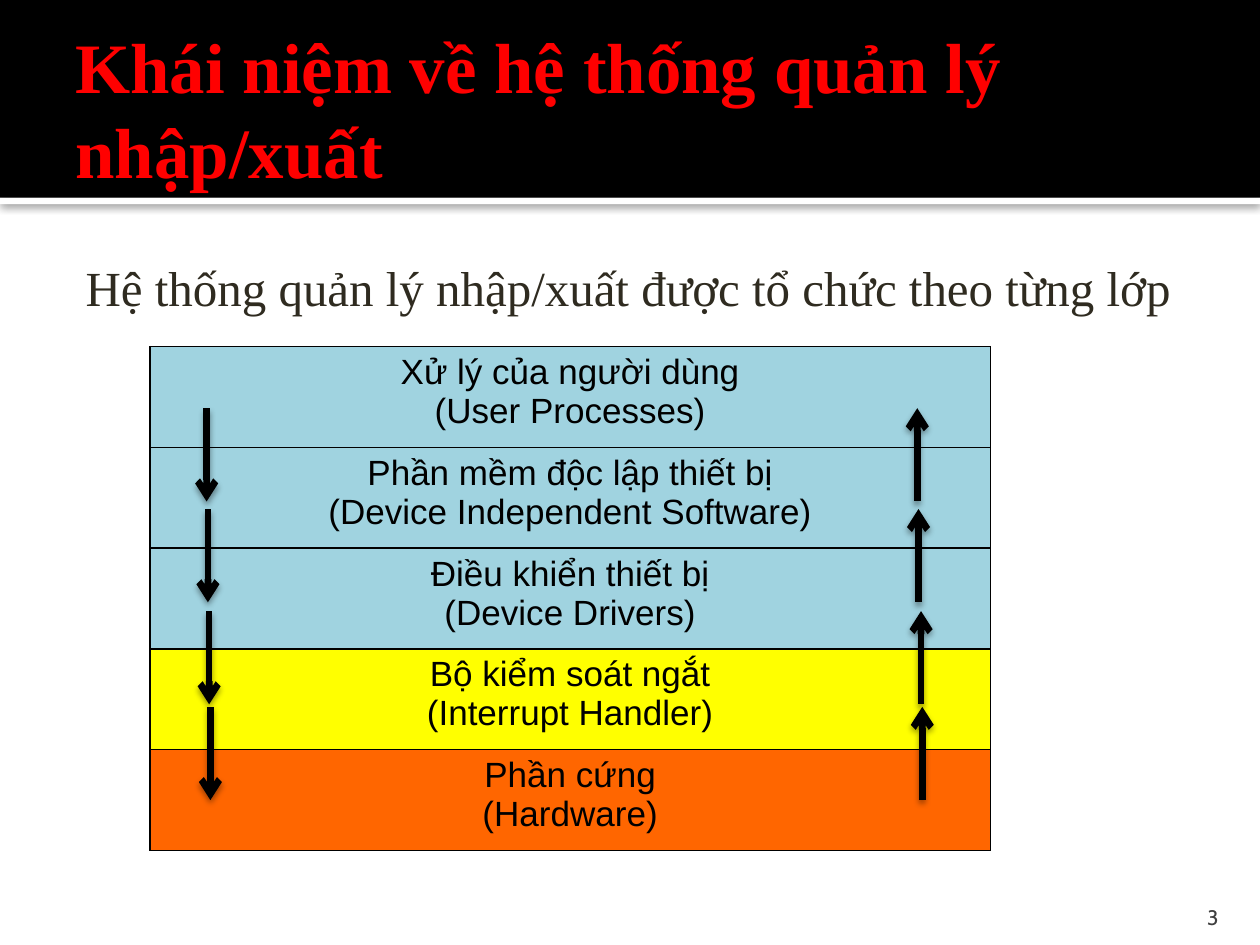
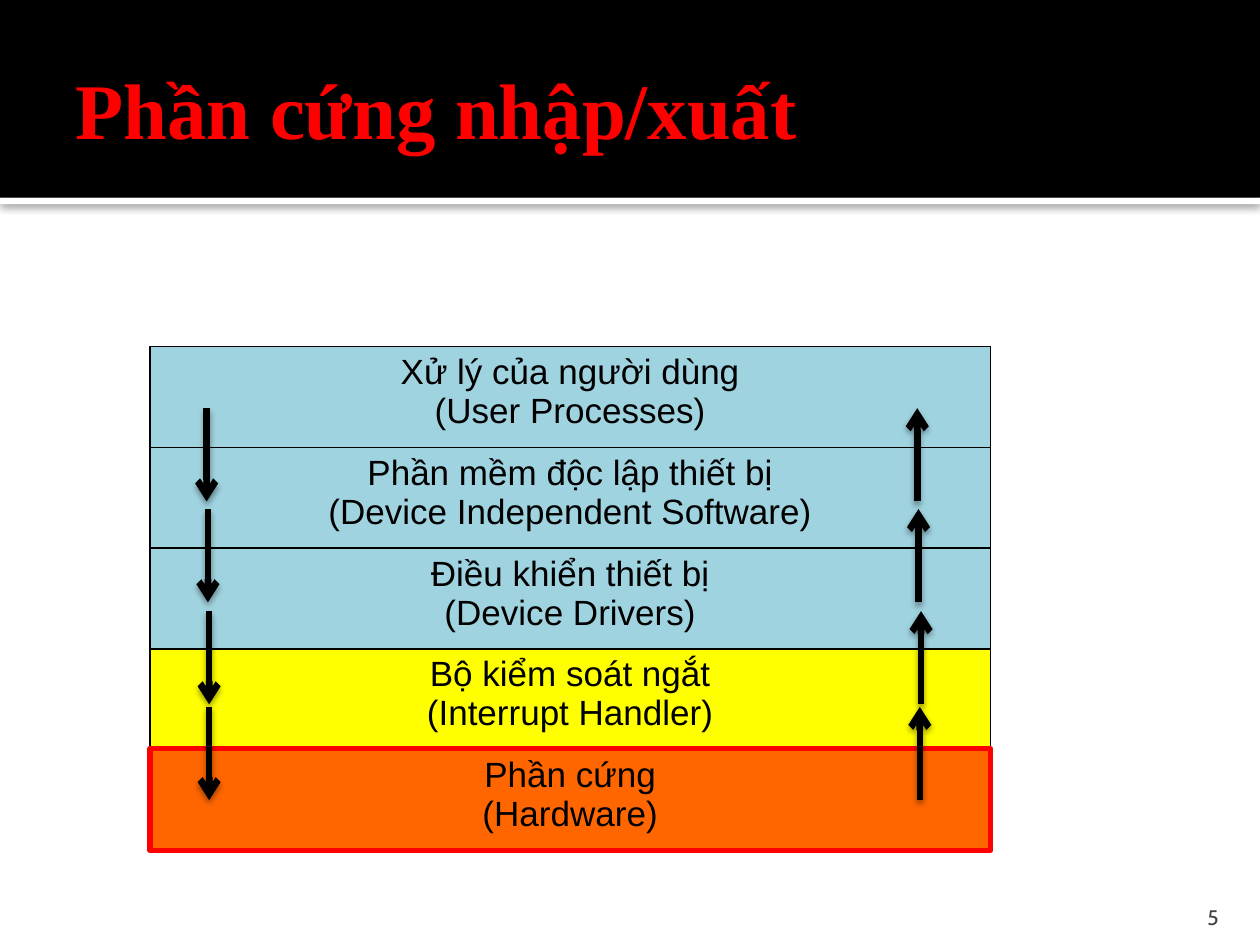
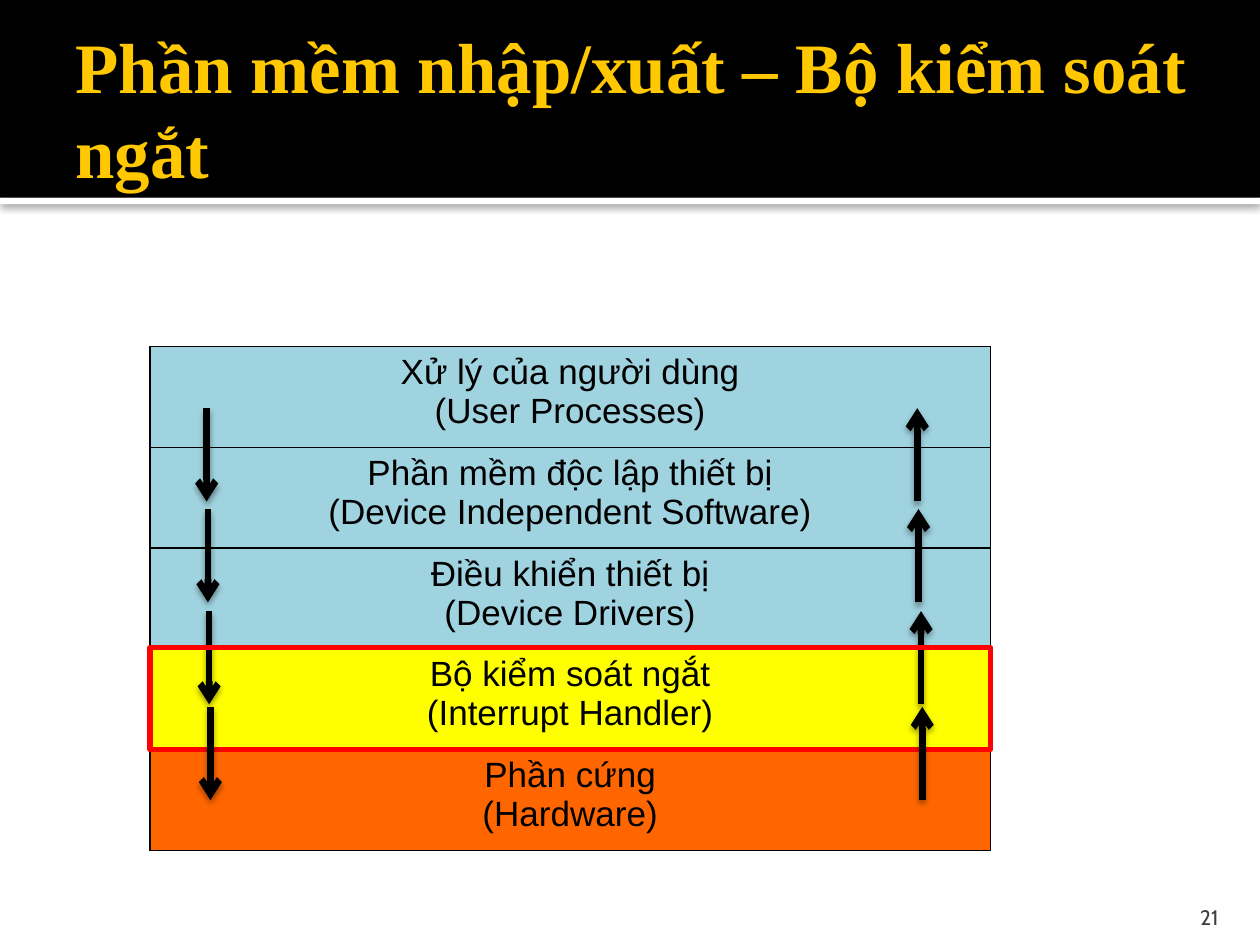
import dataclasses

import pptx
import pptx.dml.color
import pptx.enum.shapes
import pptx.enum.text
import pptx.oxml
import pptx.oxml.ns
import pptx.util

Inches = pptx.util.Inches
Pt = pptx.util.Pt
qn = pptx.oxml.ns.qn
ALIGN = pptx.enum.text.PP_ALIGN
ANCHOR = pptx.enum.text.MSO_ANCHOR
SHAPE = pptx.enum.shapes.MSO_SHAPE
CONNECTOR = pptx.enum.shapes.MSO_CONNECTOR


@dataclasses.dataclass(frozen=True)
class Theme:
    white: str = "FFFFFF"
    black: str = "000000"
    red: str = "FF0000"
    gold: str = "FFC800"
    body: str = "2F2B20"
    number: str = "3F3F3F"
    blue: str = "A0D3E0"
    yellow: str = "FFFF00"
    orange: str = "FF6600"
    serif: str = "Times New Roman"
    sans: str = "Arial"
    number_font: str = "Cabin"
    title_size: float = 45
    long_title_size: float = 40.5
    body_size: float = 28
    layer_size: float = 20
    number_size: float = 12
    arrow_width: float = 3.78
    highlight_width: float = 3


T = Theme()

# Layers of the input/output system, top to bottom
LAYERS = [
    ("Xử lý của người dùng", "(User Processes)", T.blue),
    ("Phần mềm độc lập thiết bị", "(Device Independent Software)", T.blue),
    ("Điều khiển thiết bị", "(Device Drivers)", T.blue),
    ("Bộ kiểm soát ngắt", "(Interrupt Handler)", T.yellow),
    ("Phần cứng", "(Hardware)", T.orange),
]
STACK_LEFT, STACK_TOP, STACK_WIDTH, LAYER_HEIGHT = 1.19, 2.75, 6.67, 0.8

# Arrow pairs between layers: top, x of the down arrow, x of the up arrow
ARROW_PAIRS = [(3.24, 1.64, 7.28), (4.04, 1.65, 7.29), (4.85, 1.66, 7.31)]
LAST_PAIR = (5.61, 1.67, 7.32)
ARROW_LENGTH = 0.74


def rgb(color):
    return pptx.dml.color.RGBColor.from_string(color)


def box(left, top, width, height):
    return [Inches(v) for v in (left, top, width, height)]


def style_paragraph(p, font, size, color, bold=False, align=ALIGN.LEFT):
    p.alignment = align
    for r in p.runs:
        r.font.name = font
        r.font.size = Pt(size)
        r.font.bold = bold
        r.font.color.rgb = rgb(color)


def add_text(s, text, place, insets, anchor, *style, **options):
    tf = s.shapes.add_textbox(*box(*place)).text_frame
    tf.word_wrap = True
    tf.vertical_anchor = anchor
    tf.margin_left, tf.margin_top, tf.margin_right, tf.margin_bottom = box(*insets)
    tf.text = text
    style_paragraph(tf.paragraphs[0], *style, **options)
    return tf


def add_shadow(sp, alpha, blur, distance):
    """Cast a black shadow straight down; alpha in percent, lengths in points."""
    spPr = sp._element.spPr
    effects = spPr.find(qn("a:effectLst"))
    if effects is None:
        effects = pptx.oxml.parse_xml(f"<a:effectLst {pptx.oxml.ns.nsdecls('a')}/>")
        spPr.append(effects)
    effects.append(pptx.oxml.parse_xml(
        f'<a:outerShdw {pptx.oxml.ns.nsdecls("a")} blurRad="{Pt(blur)}" dist="{Pt(distance)}"'
        f' dir="5400000" algn="ctr" rotWithShape="0"><a:srgbClr val="{T.black}">'
        f'<a:alpha val="{alpha * 1000}"/></a:srgbClr></a:outerShdw>'))


def add_rect(s, place, fill=None, line=None):
    sp = s.shapes.add_shape(SHAPE.RECTANGLE, *box(*place))
    sp.shadow.inherit = False
    if fill:
        sp.fill.solid()
        sp.fill.fore_color.rgb = rgb(fill)
    else:
        sp.fill.background()
    if line:
        sp.line.color.rgb = rgb(line)
        sp.line.width = Pt(T.highlight_width)
    else:
        sp.line.fill.background()
    return sp


def add_arrow(s, x, top, end):
    """Vertical arrow; end is headEnd to point up, tailEnd to point down."""
    c = s.shapes.add_connector(CONNECTOR.STRAIGHT, *box(x, top, x, top + ARROW_LENGTH))
    c.line.color.rgb = rgb(T.black)
    c.line.width = Pt(T.arrow_width)
    c.line._get_or_add_ln().append(pptx.oxml.parse_xml(
        f'<a:{end} {pptx.oxml.ns.nsdecls("a")} type="arrow"/>'))
    add_shadow(c, 38, 3.5, 2)


def add_arrow_pair(s, top, down_x, up_x):
    add_arrow(s, down_x, top, "tailEnd")
    add_arrow(s, up_x, top, "headEnd")


def add_borders(cell):
    tcPr = cell._tc.get_or_add_tcPr()
    for side in ("lnL", "lnR", "lnT", "lnB"):
        tcPr.append(pptx.oxml.parse_xml(
            f'<a:{side} {pptx.oxml.ns.nsdecls("a")} w="{Pt(1)}"><a:solidFill>'
            f'<a:srgbClr val="{T.black}"/></a:solidFill></a:{side}>'))


def add_layer_table(s):
    place = box(STACK_LEFT, STACK_TOP, STACK_WIDTH, LAYER_HEIGHT * len(LAYERS))
    table = s.shapes.add_table(len(LAYERS), 1, *place).table
    table.first_row = table.horz_banding = False
    for row, (name, english, color) in enumerate(LAYERS):
        table.rows[row].height = Inches(LAYER_HEIGHT)
        cell = table.cell(row, 0)
        add_borders(cell)
        cell.fill.solid()
        cell.fill.fore_color.rgb = rgb(color)
        cell.text_frame.text = f"{name}\n{english}"
        for p in cell.text_frame.paragraphs:
            style_paragraph(p, T.sans, T.layer_size, T.black, align=ALIGN.CENTER)


def add_layer_diagram(s, highlight=None, last_pair=LAST_PAIR):
    add_layer_table(s)
    for pair in ARROW_PAIRS:
        add_arrow_pair(s, *pair)
    if highlight is not None:
        top = STACK_TOP + highlight * LAYER_HEIGHT - 0.01
        add_rect(s, (STACK_LEFT, top, STACK_WIDTH, LAYER_HEIGHT + 0.01), line=T.red)
    add_arrow_pair(s, *last_pair)


def add_slide(prs, title, number, color=T.red, size=T.long_title_size):
    s = prs.slides.add_slide(prs.slide_layouts[6])
    # Title band with the shadowed white strip below it
    strip = add_rect(s, (0, 1.57, 10, 0.05), fill=T.white)
    add_shadow(strip, 60, 5, 0.8)
    add_rect(s, (0, 0, 10, 1.57), fill=T.black)
    add_text(s, title, (0.5, 0.17, 9, 1.37), (0.1, 0.05, 0.05, 0.05), ANCHOR.MIDDLE,
             T.serif, size, color, bold=True)
    # Slide number
    add_text(s, str(number), (8.97, 7.08, 0.8, 0.3), (0.1, 0.05, 0.1, 0), ANCHOR.BOTTOM,
             T.number_font, T.number_size, T.number, align=ALIGN.RIGHT)
    return s


def main():
    prs = pptx.Presentation()
    prs.slide_width, prs.slide_height = Inches(10), Inches(7.5)

    # Layered organisation
    s = add_slide(prs, "Khái niệm về hệ thống quản lý nhập/xuất", 3)
    tf = add_text(s, "Hệ thống quản lý nhập/xuất được tổ chức theo từng lớp",
                  (0.5, 1.94, 9, 5.06), (0.06, 0.1, 0.1, 0.05), ANCHOR.TOP,
                  T.serif, T.body_size, T.body)
    tf.paragraphs[0]._p.get_or_add_pPr().set("marL", str(Inches(0.12)))
    add_layer_diagram(s)

    # Hardware layer
    s = add_slide(prs, "Phần cứng nhập/xuất", 5, size=T.title_size)
    add_layer_diagram(s, highlight=4, last_pair=(5.61, 1.66, 7.3))

    # Interrupt handler layer
    s = add_slide(prs, "Phần mềm nhập/xuất – Bộ kiểm soát ngắt", 21, color=T.gold)
    add_layer_diagram(s, highlight=3)

    prs.save("out.pptx")


if __name__ == "__main__":
    main()
